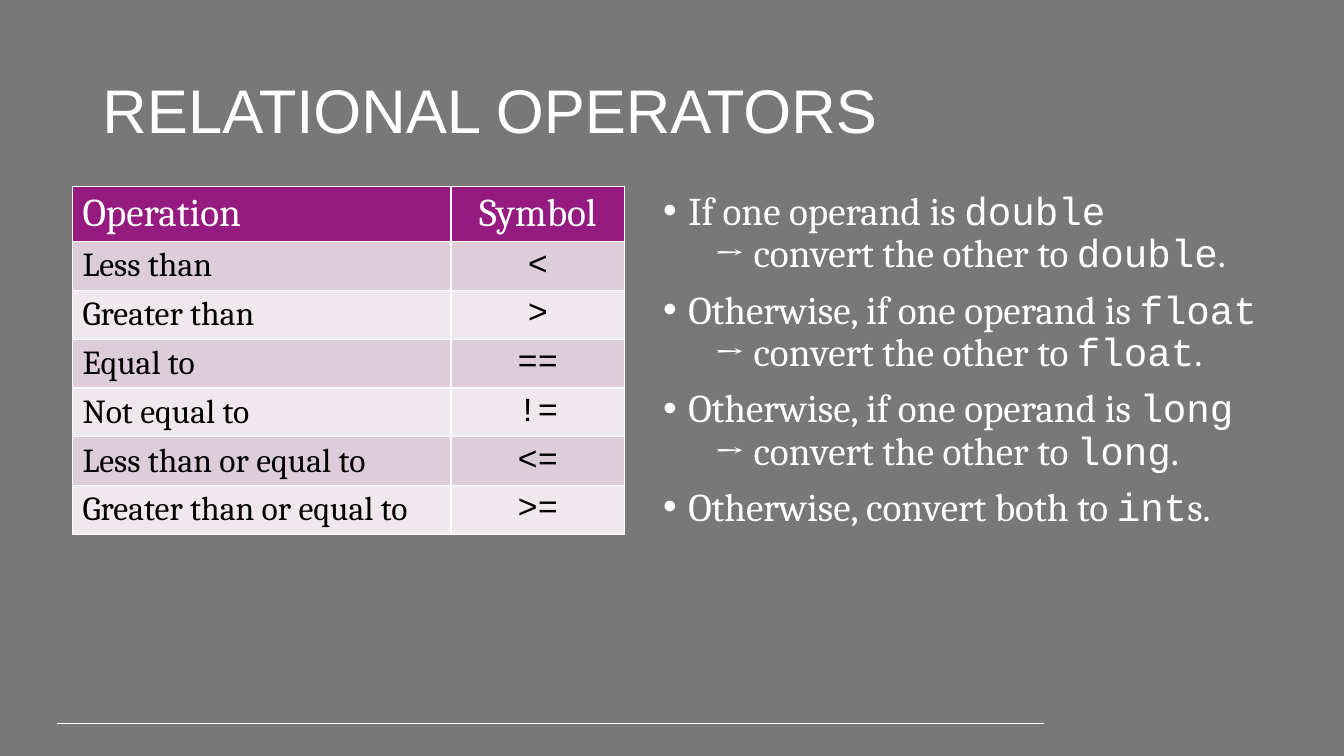
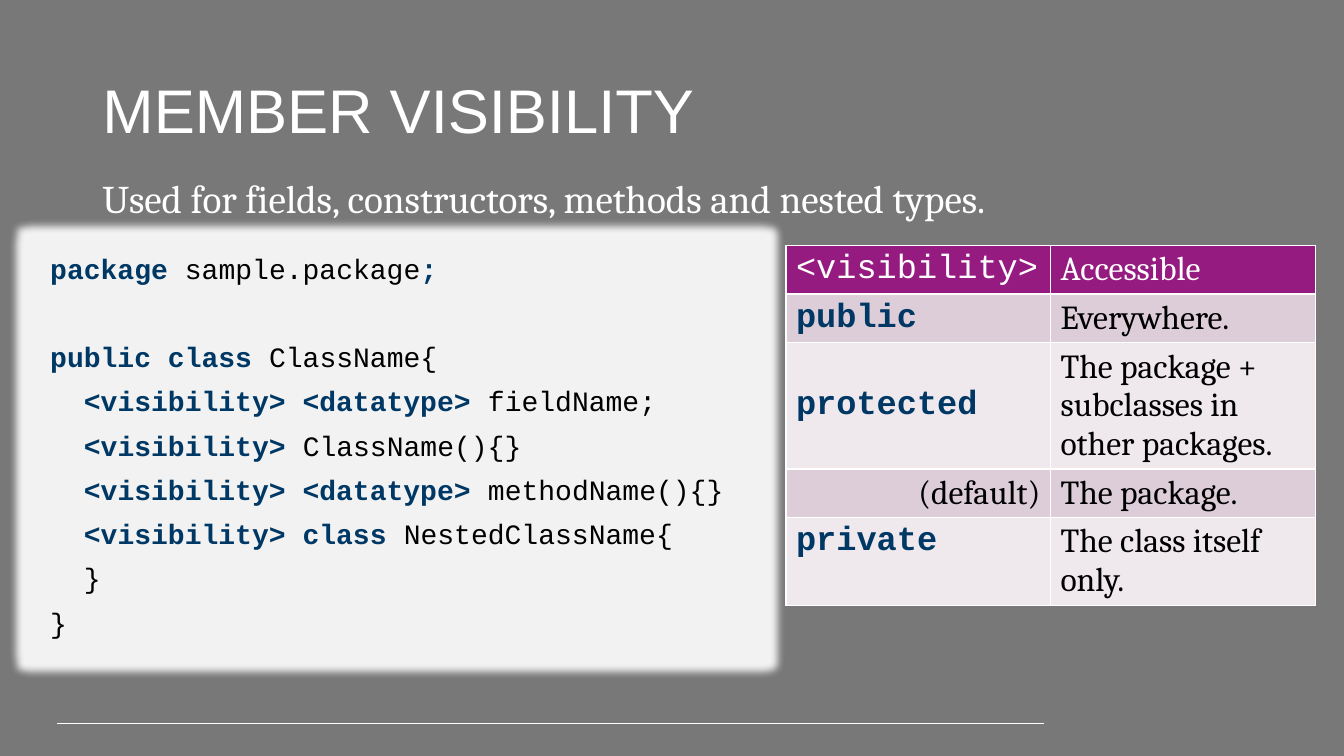
from lxml import etree
from pptx import Presentation
from pptx.dml.color import RGBColor
from pptx.enum.shapes import MSO_CONNECTOR, MSO_SHAPE
from pptx.enum.text import MSO_ANCHOR, MSO_AUTO_SIZE, PP_ALIGN
from pptx.oxml.ns import qn
from pptx.util import Pt

LEFT, CENTER, RIGHT = PP_ALIGN.LEFT, PP_ALIGN.CENTER, PP_ALIGN.RIGHT
TOP, MIDDLE = MSO_ANCHOR.TOP, MSO_ANCHOR.MIDDLE
NO_AUTO_SIZE = MSO_AUTO_SIZE.NONE
STRAIGHT = MSO_CONNECTOR.STRAIGHT
RECTANGLE = MSO_SHAPE.RECTANGLE

GRAY, WHITE, BLACK, NAVY = "787878", "FFFFFF", "000000", "003865"
PURPLE, PANEL = "961B81", "F2F2F2"
BANDS = ("DDCDD8", "EFE8ED")
RUN_STYLES = {
    "title": ("Arial", None, False),
    "text": ("Cambria", None, False),
    "code": ("Courier New", None, False),
    "keyword": ("Courier New", NAVY, True),
}


def color(value):
    return RGBColor.from_string(value)


def child(parent, tag, **attributes):
    values = {key: str(value) for key, value in attributes.items()}
    return etree.SubElement(parent, qn(tag), values)


class Deck:
    def __init__(self):
        self.presentation = Presentation()
        self.presentation.slide_width = Pt(960)
        self.presentation.slide_height = Pt(540)
        background = self.presentation.slide_master.background.fill
        background.solid()
        background.fore_color.rgb = color(GRAY)
        self.slide = None

    def add_slide(self, title):
        layout = self.presentation.slide_layouts[5]
        self.slide = self.presentation.slides.add_slide(layout)
        shape = self.slide.shapes.title
        shape.left, shape.top = Pt(66), Pt(28.8)
        shape.width, shape.height = Pt(828), Pt(104.4)
        frame = self.prepare(shape, MIDDLE)
        paragraph = frame.paragraphs[0]
        paragraph.line_spacing = 0.9
        self.add_runs(paragraph, [(title, "title")], 44, WHITE)
        self.add_line(41, 517, 746)

    def add_line(self, left, top, right):
        connector = self.slide.shapes.add_connector(
            STRAIGHT, Pt(left), Pt(top), Pt(right), Pt(top))
        connector.line.color.rgb = color(WHITE)
        connector.line.width = Pt(0.75)
        child(connector._element.spPr, "a:effectLst")

    def prepare(self, shape, anchor=TOP):
        frame = shape.text_frame
        frame.word_wrap = True
        frame.auto_size = NO_AUTO_SIZE
        frame.vertical_anchor = anchor
        return frame

    def add_runs(self, paragraph, runs, size, default, align=LEFT):
        paragraph.alignment = align
        for text, style in runs:
            name, own, bold = RUN_STYLES[style]
            run = paragraph.add_run()
            run.text = text
            run.font.name = name
            run.font.size = Pt(size)
            run.font.bold = bold
            run.font.color.rgb = color(own or default)

    def add_paragraph(self, frame, runs, size, default, before=10):
        first = not frame.paragraphs[0].runs
        paragraph = frame.paragraphs[0] if first else frame.add_paragraph()
        paragraph.line_spacing = 0.9
        paragraph.space_before = Pt(0 if first else before)
        self.add_runs(paragraph, runs, size, default)
        return paragraph

    def add_text_box(self, left, top, width, height):
        box = self.slide.shapes.add_textbox(
            Pt(left), Pt(top), Pt(width), Pt(height))
        return self.prepare(box)

    def add_statement(self, text, left, top, width, height):
        frame = self.add_text_box(left, top, width, height)
        self.add_paragraph(frame, [(text, "text")], 28, WHITE)

    def add_rules(self, rules, left, top, width, height):
        frame = self.add_text_box(left, top, width, height)
        for condition, consequence in rules:
            paragraph = self.add_paragraph(frame, condition, 28, WHITE)
            properties = paragraph._p.get_or_add_pPr()
            properties.set("marL", str(Pt(18)))
            properties.set("indent", str(-Pt(18)))
            child(properties, "a:buFont", typeface="Arial")
            child(properties, "a:buChar", char="•")
            if consequence:
                paragraph = self.add_paragraph(
                    frame, consequence, 28, WHITE, before=0)
                paragraph._p.get_or_add_pPr().set("marL", str(Pt(36.5)))

    def add_code(self, lines, left, top, width, height):
        panel = self.slide.shapes.add_shape(
            RECTANGLE, Pt(left), Pt(top), Pt(width), Pt(height))
        panel.fill.solid()
        panel.fill.fore_color.rgb = color(PANEL)
        panel.line.fill.background()
        panel.shadow.inherit = False
        effects = panel._element.spPr.find(qn("a:effectLst"))
        glow = child(effects, "a:glow", rad=Pt(11))
        child(glow, "a:srgbClr", val=PANEL)
        frame = self.prepare(panel)
        for before, runs in lines:
            self.add_paragraph(frame, runs, 20, BLACK, before)

    def add_table(self, rows, left, top, widths, heights, header_size):
        frame = self.slide.shapes.add_table(
            len(rows), len(widths), Pt(left), Pt(top),
            Pt(sum(widths)), Pt(sum(heights)))
        table = frame.table
        for column, width in zip(table.columns, widths):
            column.width = Pt(width)
        for index, (row, height) in enumerate(zip(rows, heights)):
            table.rows[index].height = Pt(height)
            header = index == 0
            fill = PURPLE if header else BANDS[(index - 1) % 2]
            for position, (text, style, align, anchor) in enumerate(row):
                cell = table.cell(index, position)
                cell.vertical_anchor = anchor
                self.add_borders(cell)
                cell.fill.solid()
                cell.fill.fore_color.rgb = color(fill)
                self.add_runs(
                    cell.text_frame.paragraphs[0], [(text, style)],
                    header_size if header else 24,
                    WHITE if header else BLACK, align)

    def add_borders(self, cell):
        properties = cell._tc.get_or_add_tcPr()
        for side in "LRTB":
            border = child(properties, f"a:ln{side}", w=Pt(1))
            child(child(border, "a:solidFill"), "a:srgbClr", val=WHITE)


def add_relational_operators(deck):
    deck.add_slide("RELATIONAL OPERATORS")
    operators = [
        ("Less than", "<"),
        ("Greater than", ">"),
        ("Equal to", "=="),
        ("Not equal to", "!="),
        ("Less than or equal to", "<="),
        ("Greater than or equal to", ">="),
    ]
    rows = [[("Operation", "text", LEFT, TOP),
             ("Symbol", "text", CENTER, TOP)]]
    rows += [[(name, "text", LEFT, TOP), (symbol, "code", CENTER, MIDDLE)]
             for name, symbol in operators]
    deck.add_table(rows, 51.8, 133.2, (270.4, 124),
                   [39.3] + [34.8] * len(operators), 28)
    rules = [
        ([(opening, "text"), (datatype, "code")],
         [("→ convert the other to ", "text"), (datatype, "code"),
          (".", "text")])
        for opening, datatype in (
            ("If one operand is ", "double"),
            ("Otherwise, if one operand is ", "float"),
            ("Otherwise, if one operand is ", "long"))
    ]
    rules.append(([("Otherwise, convert both to ", "text"),
                   ("int", "code"), ("s.", "text")], None))
    deck.add_rules(rules, 466.6, 133.2, 484, 251)


def add_member_visibility(deck):
    deck.add_slide("MEMBER VISIBILITY")
    deck.add_statement(
        "Used for fields, constructors, methods and nested types.",
        66, 124.6, 828, 39.6)
    rows = [
        [("<visibility>", "code", LEFT, TOP),
         ("Accessible", "text", LEFT, TOP)],
        [("public", "keyword", LEFT, TOP),
         ("Everywhere.", "text", LEFT, TOP)],
        [("protected", "keyword", LEFT, MIDDLE),
         ("The package + subclasses in other packages.",
          "text", LEFT, TOP)],
        [("(default)", "text", RIGHT, TOP),
         ("The package.", "text", LEFT, TOP)],
        [("private", "keyword", LEFT, TOP),
         ("The class itself only.", "text", LEFT, TOP)],
    ]
    deck.add_table(rows, 561.4, 175.2, (189, 189),
                   (34.8, 34.8, 90, 34.8, 62.5), 24)
    members = [
        ("<visibility> <datatype> ", "fieldName;"),
        ("<visibility> ", "ClassName(){}"),
        ("<visibility> <datatype> ", "methodName(){}"),
        ("<visibility> class ", "NestedClassName{"),
    ]
    lines = [
        (0, [("package ", "keyword"), ("sample.package", "code"),
             (";", "keyword")]),
        (41.6, [("public class ", "keyword"), ("ClassName{", "code")]),
    ]
    lines += [(10, [("  ", "code"), (keywords, "keyword"), (name, "code")])
              for keywords, name in members]
    lines += [(10, [(closing, "code")]) for closing in ("  }", "}")]
    deck.add_code(lines, 28.8, 178.6, 509.8, 284.4)


def main():
    deck = Deck()
    add_relational_operators(deck)
    add_member_visibility(deck)
    deck.presentation.save("out.pptx")


if __name__ == "__main__":
    main()
